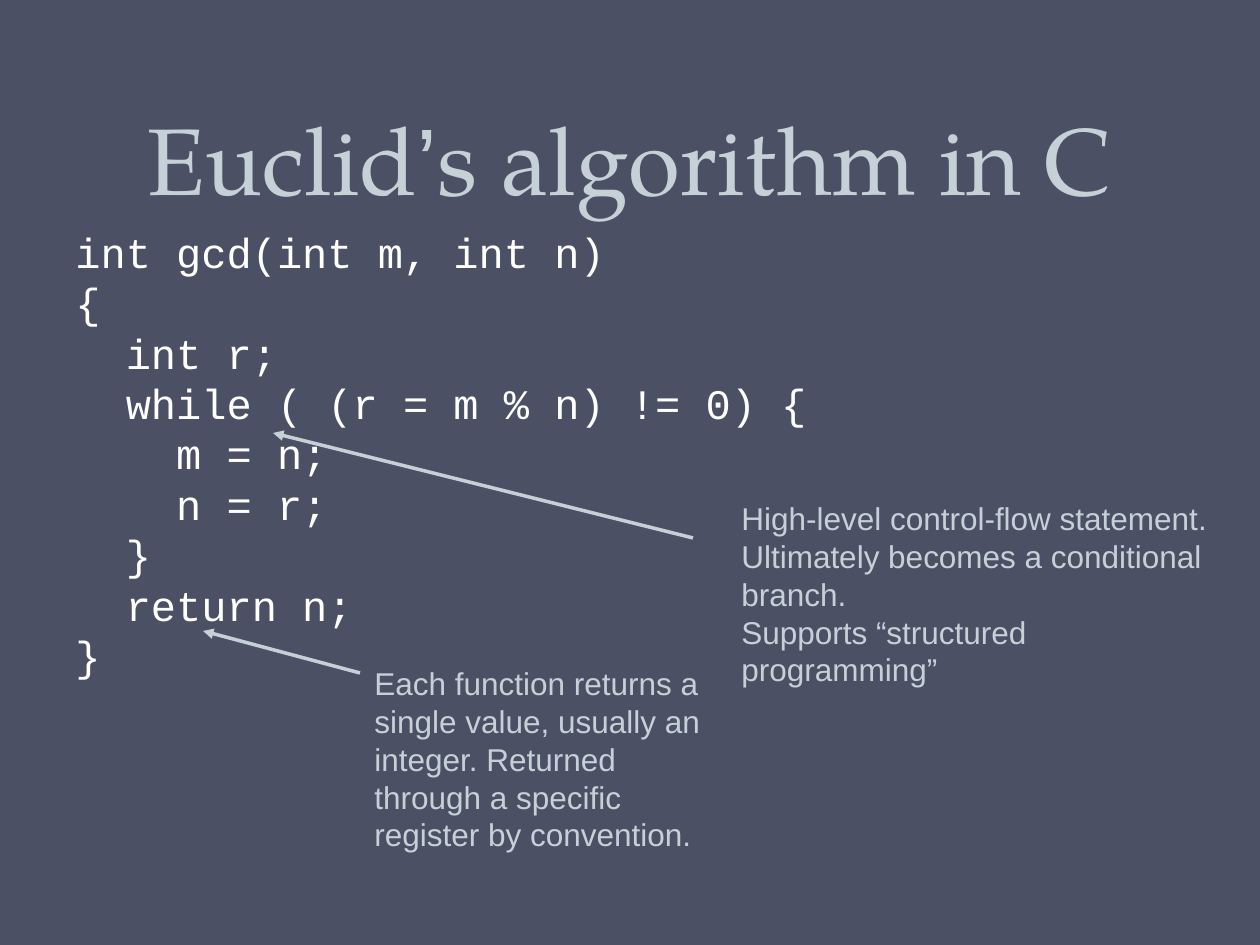
from dataclasses import dataclass

from lxml import etree
from pptx import Presentation
from pptx import util as u
from pptx.dml.color import RGBColor
from pptx.enum import shapes, text
from pptx.oxml.ns import qn

PX = u.Inches(1) // 126
BACK, PALE, WHITE = "4B5064", "C5D1D7", "FFFFFF"


@dataclass
class Box:
    left: int
    top: int
    width: int
    height: int


@dataclass
class Note:
    box: Box
    lines: list[str]
    arrow: tuple[int, int, int, int]


def rgb(value: str) -> RGBColor:
    return RGBColor.from_string(value)


def add_box(s, box: Box, anchor=text.MSO_ANCHOR.TOP):
    sp = s.shapes.add_textbox(box.left * PX, box.top * PX, box.width * PX, box.height * PX)
    tf = sp.text_frame
    tf.word_wrap = True
    tf.vertical_anchor = anchor
    return tf


def add_run(p, content: str, *, font: str, size: int, color: str) -> None:
    r = p.add_run()
    r.text = content
    r.font.name, r.font.size = font, u.Pt(size)
    r.font.color.rgb = rgb(color)


def add_lines(tf, lines: list[str], *, first: float = 0, **style) -> None:
    for i, line in enumerate(lines):
        p = tf.add_paragraph() if i else tf.paragraphs[0]
        p.space_before = u.Pt(0 if i else first)
        add_run(p, line, **style)


def add_arrow(s, x1: int, y1: int, x2: int, y2: int) -> None:
    c = s.shapes.add_connector(shapes.MSO_CONNECTOR.STRAIGHT, x1 * PX, y1 * PX, x2 * PX, y2 * PX)
    c.line.color.rgb = rgb(PALE)
    c.line.width = u.Pt(2)
    etree.SubElement(c.get_or_add_ln(), qn("a:tailEnd"), type="triangle")
    etree.SubElement(c._element.spPr, qn("a:effectLst"))


CODE = """int gcd(int m, int n)
{
  int r;
  while ( (r = m % n) != 0) {
    m = n;
    n = r;
  }
  return n;
}""".split("\n")

NOTES = [
    Note(Box(729, 493, 494, 271),
         ["High-level control-flow statement. Ultimately becomes a conditional branch.",
          "Supports “structured programming”"],
         (693, 538, 273, 433)),
    Note(Box(362, 658, 357, 287),
         ["Each function returns a single value, usually an integer. "
          "Returned through a specific register by convention."],
         (360, 673, 203, 631)),
]

prs = Presentation()
prs.slide_width, prs.slide_height = u.Inches(10), u.Inches(7.5)
s = prs.slides.add_slide(prs.slide_layouts[6])
s.background.fill.solid()
s.background.fill.fore_color.rgb = rgb(BACK)

# Title, with the apostrophe in a second font
p = add_box(s, Box(63, 0, 1134, 221), text.MSO_ANCHOR.BOTTOM).paragraphs[0]
p.alignment = text.PP_ALIGN.CENTER
p.line_spacing = u.Pt(58)
for content, font in (("Euclid", "TeX Gyre Pagella"), ("’", "Arial"),
                      ("s algorithm in C", "TeX Gyre Pagella")):
    add_run(p, content, font=font, size=54, color=PALE)

# Code listing
add_lines(add_box(s, Box(63, 220, 1134, 624)), CODE, first=4.8,
          font="Courier New", size=24, color=WHITE)

# Notes and their arrows
for note in NOTES:
    add_arrow(s, *note.arrow)
    add_lines(add_box(s, note.box), note.lines, font="Arial", size=18, color=PALE)

prs.save("out.pptx")
